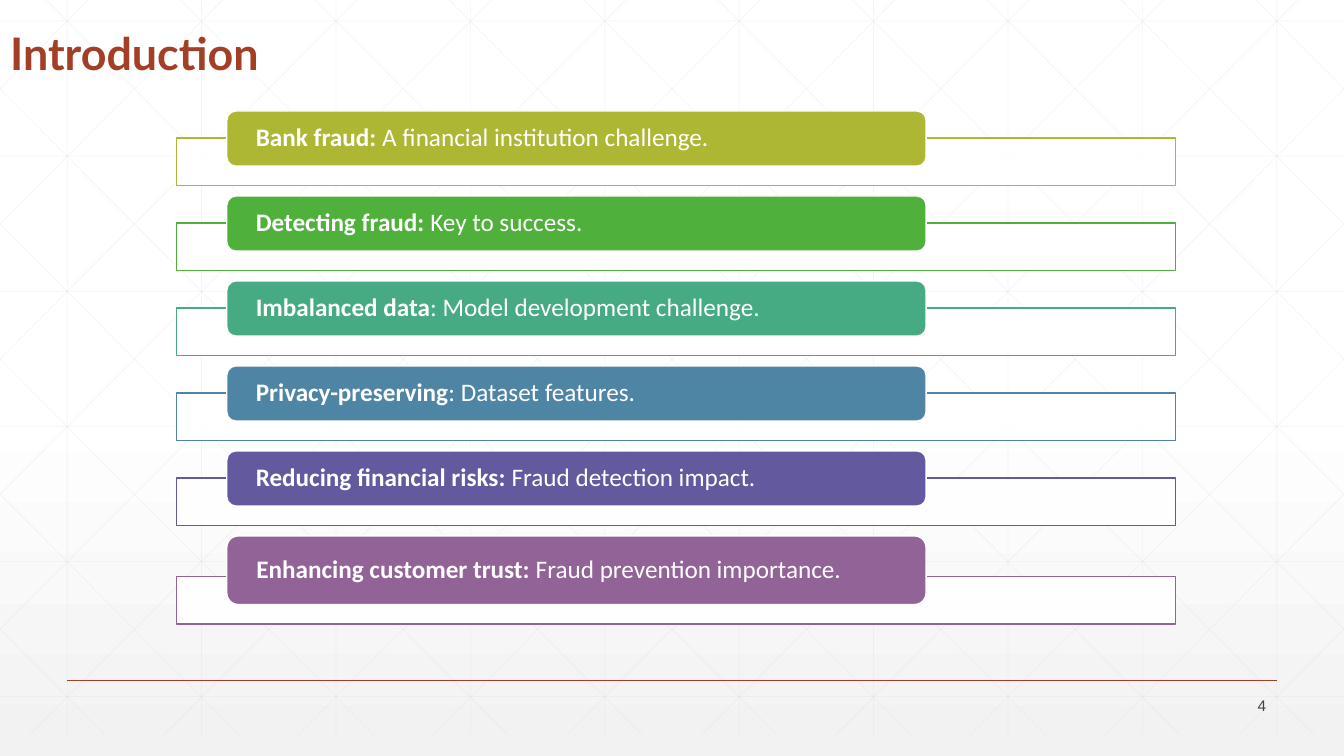
from copy import deepcopy

from pptx import Presentation
from pptx.dml.color import RGBColor
from pptx.enum.shapes import MSO_CONNECTOR, MSO_SHAPE
from pptx.enum.text import MSO_ANCHOR, MSO_AUTO_SIZE, PP_ALIGN
from pptx.oxml.ns import qn
from pptx.util import Pt
from lxml import etree

STRAIGHT = MSO_CONNECTOR.STRAIGHT
RECTANGLE, ROUNDED = MSO_SHAPE.RECTANGLE, MSO_SHAPE.ROUNDED_RECTANGLE
MIDDLE, BOTTOM = MSO_ANCHOR.MIDDLE, MSO_ANCHOR.BOTTOM
LEFT, RIGHT = PP_ALIGN.LEFT, PP_ALIGN.RIGHT
NO_AUTOFIT = MSO_AUTO_SIZE.NONE

# Content
TITLE = "Introduction"
PAGE_NUMBER = "4"
TOPICS = [  # bold lead, remainder, colour, bar height
    ("Bank fraud: ", "A financial institution challenge.", "AEB733", 39.4),
    ("Detecting fraud: ", "Key to success.", "4FB13C", 39.4),
    ("Imbalanced data", ": Model development challenge.", "46AB83", 39.4),
    ("Privacy-preserving", ": Dataset features.", "4F85A4", 39.4),
    ("Reducing financial risks: ", "Fraud detection impact.", "62599E", 39.4),
    ("Enhancing customer trust: ", "Fraud prevention importance.", "926397", 49),
]

THEME = {
    "accent": "A43F27", "white": "FFFFFF", "grid": "D9D9D9", "number": "424342",
    "background": [(0, "FFFFFF"), (0.53, "FFFFFF"), (1, "F2F2F2")],
    "title": ("Lato", 32), "topic": ("Calibri", 18), "page": ("Arial", 11),
}

# Layout, in points
WIDTH, HEIGHT = 960, 540
GRID_TOP, GRID_BOTTOM = -15, 525
DIAGONAL_RUN = 537
FIRST_BAR_TOP, ROW_GAP = 79.3, 21.3
FRAME_LEFT, FRAME_WIDTH, FRAME_HEIGHT = 126, 713.5, 33.9
BAR_LEFT, BAR_WIDTH, OVERLAP = 162, 499.5, 20


def set_values(target, **values):
    for name, value in values.items():
        setattr(target, name, value)


def color(value):
    return RGBColor.from_string(value)


def set_opacity(element, percent):
    rgb = element.find(".//" + qn("a:srgbClr"))
    etree.SubElement(rgb, qn("a:alpha")).set("val", str(percent * 1000))


def add_line(shapes, start, end, line_color, width, opacity=100):
    points = [Pt(value) for value in (*start, *end)]
    line = shapes.add_connector(STRAIGHT, *points)
    line.line.color.rgb = color(line_color)
    line.line.width = Pt(width)
    properties = line.element.spPr
    if opacity < 100:
        set_opacity(properties, opacity)
    etree.SubElement(properties, qn("a:effectLst"))


def add_box(shapes, kind, box, fill_color, line_color):
    shape = shapes.add_shape(kind, *[Pt(value) for value in box])
    shape.shadow.inherit = False
    shape.fill.solid()
    shape.fill.fore_color.rgb = color(fill_color)
    shape.line.color.rgb = color(line_color)
    shape.line.width = Pt(1)
    return shape


def add_run(paragraph, text, style, text_color, bold=False):
    run = paragraph.add_run()
    run.text = text
    name, size = THEME[style]
    set_values(run.font, name=name, size=Pt(size), bold=bold)
    run.font.color.rgb = color(text_color)


def grid_lines():
    for column in range(10):
        x = 48 + 96 * column
        yield (x, GRID_TOP), (x, GRID_BOTTOM)
    for row in range(6):
        y = 15 + 96.5 * row
        yield (0, y), (WIDTH, y)
    # Diagonals are cut at the slide's sides, then mirrored
    for step in range(-5, 10):
        top_x = 18 + 96 * step
        ends = []
        for x in (max(top_x, 0), min(top_x + DIAGONAL_RUN, WIDTH)):
            share = (x - top_x) / DIAGONAL_RUN
            ends.append((x, GRID_TOP + share * (GRID_BOTTOM - GRID_TOP)))
        yield ends
        yield [(WIDTH - x, y) for x, y in ends]


def add_background(slide):
    fill = slide.background.fill
    fill.gradient()
    fill.gradient_angle = 270
    stop_list = slide.element.find(".//" + qn("a:gsLst"))
    stop_list.insert(1, deepcopy(stop_list[0]))
    for stop, (position, value) in zip(fill.gradient_stops, THEME["background"]):
        stop.position = position
        stop.color.rgb = color(value)
    set_opacity(stop_list[-1], 65)

    grid = slide.shapes.add_group_shape()
    for start, end in grid_lines():
        add_line(grid.shapes, start, end, THEME["grid"], 0.5, 25)
    add_line(slide.shapes, (48, 486), (912, 486), THEME["accent"], 1)


def add_title(slide):
    title = slide.shapes.title
    slide.shapes.element.append(title.element)  # in front of the grid
    set_values(title, left=Pt(0), top=Pt(3), width=Pt(828), height=Pt(58))
    set_values(title.text_frame, vertical_anchor=BOTTOM, auto_size=NO_AUTOFIT, word_wrap=True)
    paragraph = title.text_frame.paragraphs[0]
    set_values(paragraph, alignment=LEFT, line_spacing=0.9)
    add_run(paragraph, TITLE, "title", THEME["accent"], True)


def add_page_number(slide):
    box = slide.shapes.add_textbox(Pt(839.5), Pt(495.5), Pt(72), Pt(17.3))
    set_values(box.text_frame, vertical_anchor=MIDDLE, word_wrap=True)
    paragraph = box.text_frame.paragraphs[0]
    paragraph.alignment = RIGHT
    add_run(paragraph, PAGE_NUMBER, "page", THEME["number"])


def add_topics(slide):
    bar_top = FIRST_BAR_TOP
    for lead, remainder, topic_color, bar_height in TOPICS:
        # Outlined frame behind the bar
        frame_top = bar_top + bar_height - OVERLAP
        frame = add_box(slide.shapes, RECTANGLE,
                        (FRAME_LEFT, frame_top, FRAME_WIDTH, FRAME_HEIGHT),
                        THEME["white"], topic_color)
        set_opacity(frame.element.spPr, 90)
        # Coloured bar with its text
        bar = add_box(slide.shapes, ROUNDED,
                      (BAR_LEFT, bar_top, BAR_WIDTH, bar_height),
                      topic_color, THEME["white"])
        set_values(bar.text_frame, vertical_anchor=MIDDLE, word_wrap=True,
                   margin_left=Pt(18.8), margin_right=Pt(18.8),
                   margin_top=0, margin_bottom=0)
        paragraph = bar.text_frame.paragraphs[0]
        set_values(paragraph, alignment=LEFT, line_spacing=0.9)
        add_run(paragraph, lead, "topic", THEME["white"], True)
        add_run(paragraph, remainder, "topic", THEME["white"])
        bar_top += bar_height + ROW_GAP


def main():
    presentation = Presentation()
    set_values(presentation, slide_width=Pt(WIDTH), slide_height=Pt(HEIGHT))
    slide = presentation.slides.add_slide(presentation.slide_layouts[5])
    add_background(slide)
    add_title(slide)
    add_page_number(slide)
    add_topics(slide)
    presentation.save("out.pptx")


if __name__ == "__main__":
    main()
